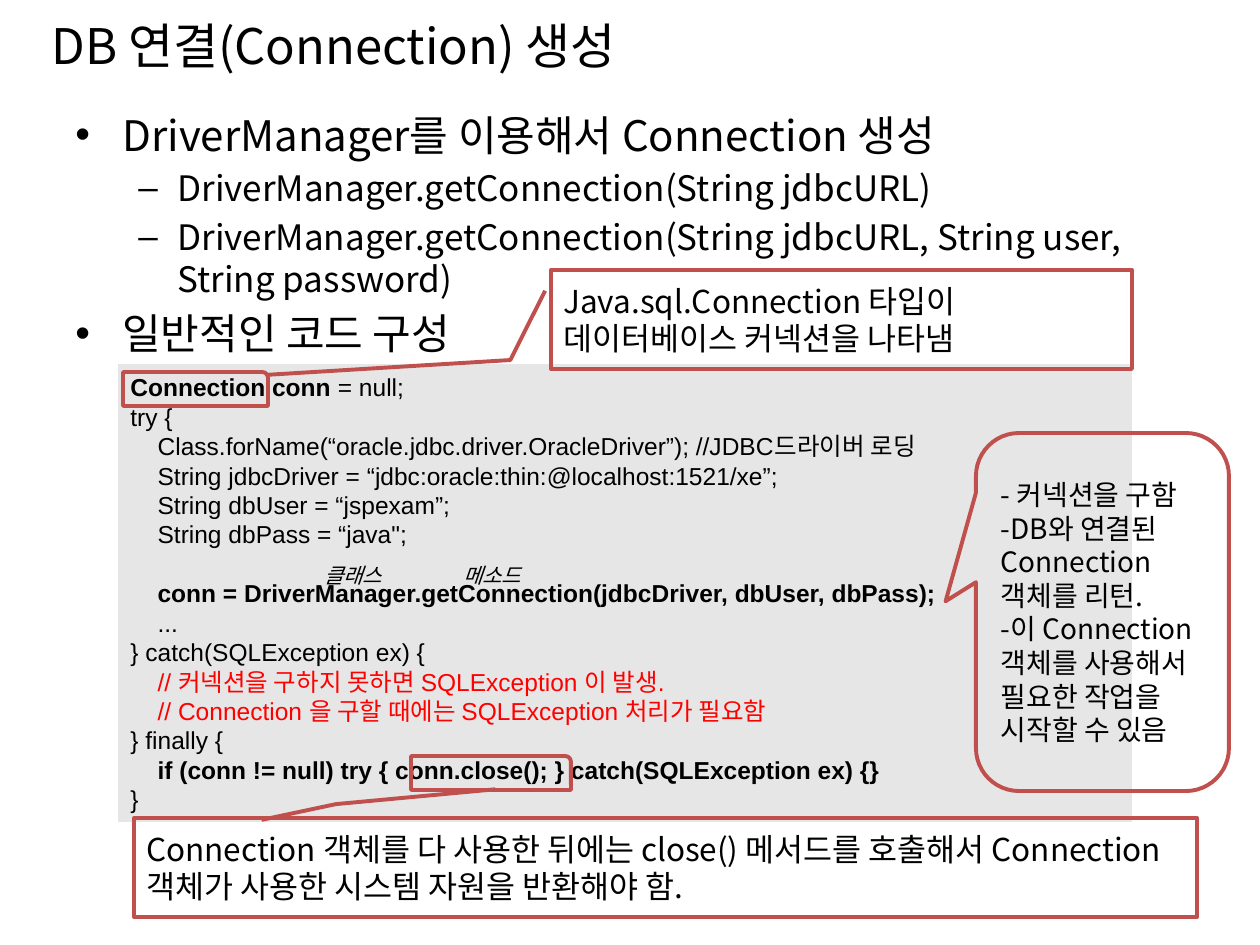
import pptx
import pptx.dml.color
import pptx.enum.shapes
import pptx.enum.text
import pptx.util
from lxml import etree

RGBColor = pptx.dml.color.RGBColor
MSO_SHAPE = pptx.enum.shapes.MSO_SHAPE
MSO_ANCHOR = pptx.enum.text.MSO_ANCHOR

BLACK = RGBColor(0x00, 0x00, 0x00)
RED = RGBColor(0xFF, 0x00, 0x00)
CODE_GRAY = RGBColor(0xE6, 0xE6, 0xE6)
OUTLINE = RGBColor(0xC0, 0x50, 0x4D)
KOREAN = "Noto Sans CJK KR"
LATIN = "Arial"
EMU_PER_PX = 914400 / 126
LEADING = 1.2


def px(n):
    return pptx.util.Emu(round(n * EMU_PER_PX))


class SlideBuilder:
    def __init__(self, slide):
        self.slide = slide

    def style_run(self, r, size, font=KOREAN, color=BLACK, bold=False, italic=False):
        r.font.size = pptx.util.Pt(size)
        r.font.name = font
        r.font.bold = bold
        r.font.italic = italic
        r.font.color.rgb = color
        latin = r.font._element.find(pptx.oxml.ns.qn("a:latin"))
        ea = etree.Element(pptx.oxml.ns.qn("a:ea"), typeface=KOREAN)
        latin.addnext(ea)

    def style_paragraph(self, p, size, **style):
        p.alignment = pptx.enum.text.PP_ALIGN.LEFT
        p.line_spacing = pptx.util.Pt(round(size * LEADING, 1))
        for r in p.runs:
            self.style_run(r, size, **style)

    def fill_text(self, sp, text, size, **style):
        tf = sp.text_frame
        tf.word_wrap = True
        tf.text = text
        for p in tf.paragraphs:
            self.style_paragraph(p, size, **style)
        return tf

    def text(self, box, text, size, **style):
        sp = self.slide.shapes.add_textbox(*map(px, box))
        return self.fill_text(sp, text, size, **style)

    def bullets(self, box, items, levels):
        tf = self.text(box, "\n".join(text for _, text in items), levels[0][0])
        for i, (p, (level, _)) in enumerate(zip(tf.paragraphs, items)):
            size, margin, hang, mark = levels[level]
            p.level = level
            pPr = p._p.get_or_add_pPr()
            pPr.set("marL", str(px(margin)))
            pPr.set("indent", str(-px(hang)))
            p.space_before = pptx.util.Pt(size * 0.2 if i else 0)
            p.line_spacing = pptx.util.Pt(round(size * LEADING, 1))
            etree.SubElement(pPr, pptx.oxml.ns.qn("a:buFont"), typeface=LATIN)
            etree.SubElement(pPr, pptx.oxml.ns.qn("a:buChar"), char=mark)
            for r in p.runs:
                r.font.size = pptx.util.Pt(size)

    def code(self, box, lines, size):
        sp = self.slide.shapes.add_shape(MSO_SHAPE.RECTANGLE, *map(px, box))
        sp.shadow.inherit = False
        sp.fill.solid()
        sp.fill.fore_color.rgb = CODE_GRAY
        sp.line.fill.background()
        tf = sp.text_frame
        tf.word_wrap = True
        tf.vertical_anchor = MSO_ANCHOR.MIDDLE
        for i, (gap, *parts) in enumerate(lines):
            p = tf.add_paragraph() if i else tf.paragraphs[0]
            p.space_before = pptx.util.Pt(round(gap * size * LEADING, 1))
            self.style_paragraph(p, size)
            for text, style in parts:
                r = p.add_run()
                r.text = text
                self.style_run(r, size, font=LATIN, **style)

    def outline(self, kind, box, text="", size=18, adjustments=()):
        sp = self.slide.shapes.add_shape(kind, *map(px, box))
        sp.shadow.inherit = False
        sp.fill.background()
        sp.line.color.rgb = OUTLINE
        sp.line.width = pptx.util.Pt(2.25)
        for i, value in enumerate(adjustments):
            sp.adjustments[i] = value
        if text:
            self.fill_text(sp, text, size).vertical_anchor = MSO_ANCHOR.MIDDLE


PLAIN, BOLD, WARNING = {}, {"bold": True}, {"color": RED}
CODE = [
    (0, ("Connection conn", BOLD), (" = null;", PLAIN)),
    (0, ("try {", PLAIN)),
    (0, ("    Class.forName(“oracle.jdbc.driver.OracleDriver”); //JDBC드라이버 로딩", PLAIN)),
    (0, ("    String jdbcDriver = “jdbc:oracle:thin:@localhost:1521/xe”;", PLAIN)),
    (0, ("    String dbUser = “jspexam”;", PLAIN)),
    (0, ("    String dbPass = “java\";", PLAIN)),
    (1, ("    conn = DriverManager.getConnection(jdbcDriver, dbUser, dbPass);", BOLD)),
    (0, ("    ...", PLAIN)),
    (0, ("} catch(SQLException ex) {", PLAIN)),
    (0, ("    // 커넥션을 구하지 못하면 SQLException 이 발생.", WARNING)),
    (0, ("    // Connection 을 구할 때에는 SQLException 처리가 필요함", WARNING)),
    (0, ("} finally {", PLAIN)),
    (0, ("    if (conn != null) try { conn.close(); } catch(SQLException ex) {}", BOLD)),
    (0, ("}", PLAIN)),
]
BULLETS = [
    (0, "DriverManager를 이용해서 Connection 생성"),
    (1, "DriverManager.getConnection(String jdbcURL)"),
    (1, "DriverManager.getConnection(String jdbcURL, String user, String password)"),
    (0, "일반적인 코드 구성"),
]
LEVELS = [(24, 47, 47, "•"), (20, 102, 39, "–")]
RETURN_NOTE = (
    "- 커넥션을 구함\n"
    "-DB와 연결된 Connection 객체를 리턴.\n"
    "-이 Connection 객체를 사용해서 필요한 작업을 시작할 수 있음"
)


def main():
    prs = pptx.Presentation()
    prs.slide_width, prs.slide_height = px(1260), px(945)
    s = SlideBuilder(prs.slides.add_slide(prs.slide_layouts[6]))

    title = s.text((39, 4, 1191, 81), "DB 연결(Connection) 생성", 28)
    title.vertical_anchor = MSO_ANCHOR.MIDDLE
    s.bullets((63, 103, 1134, 707), BULLETS, LEVELS)
    s.code((118, 364, 1014, 458), CODE, 14)

    s.outline(MSO_SHAPE.ROUND_1_RECTANGLE, (123, 372, 145, 34))
    s.outline(MSO_SHAPE.LINE_CALLOUT_2, (551, 270, 581, 99),
              "Java.sql.Connection 타입이 데이터베이스 커넥션을 나타냄",
              adjustments=(0.21, -0.01, 0.91, -0.07, 1.06, -0.49))
    for x, label in ((312, "클래스"), (451, "메소드")):
        tf = s.text((x, 556, 89, 38), label, 12, italic=True)
        tf.word_wrap = False
        tf.auto_size = pptx.enum.text.MSO_AUTO_SIZE.SHAPE_TO_FIT_TEXT
    s.outline(MSO_SHAPE.ROUNDED_RECTANGULAR_CALLOUT, (976, 433, 253, 358),
              RETURN_NOTE, 16, adjustments=(-0.62, -0.03, 0.17))
    s.outline(MSO_SHAPE.ROUND_1_RECTANGLE, (411, 756, 160, 34))
    s.outline(MSO_SHAPE.LINE_CALLOUT_2, (134, 818, 1063, 99),
              "Connection 객체를 다 사용한 뒤에는 close() 메서드를 호출해서 "
              "Connection 객체가 사용한 시스템 자원을 반환해야 함.",
              adjustments=(0.02, 0.12, -0.14, 0.19, -0.29, 0.34))

    prs.save("out.pptx")


if __name__ == "__main__":
    main()
